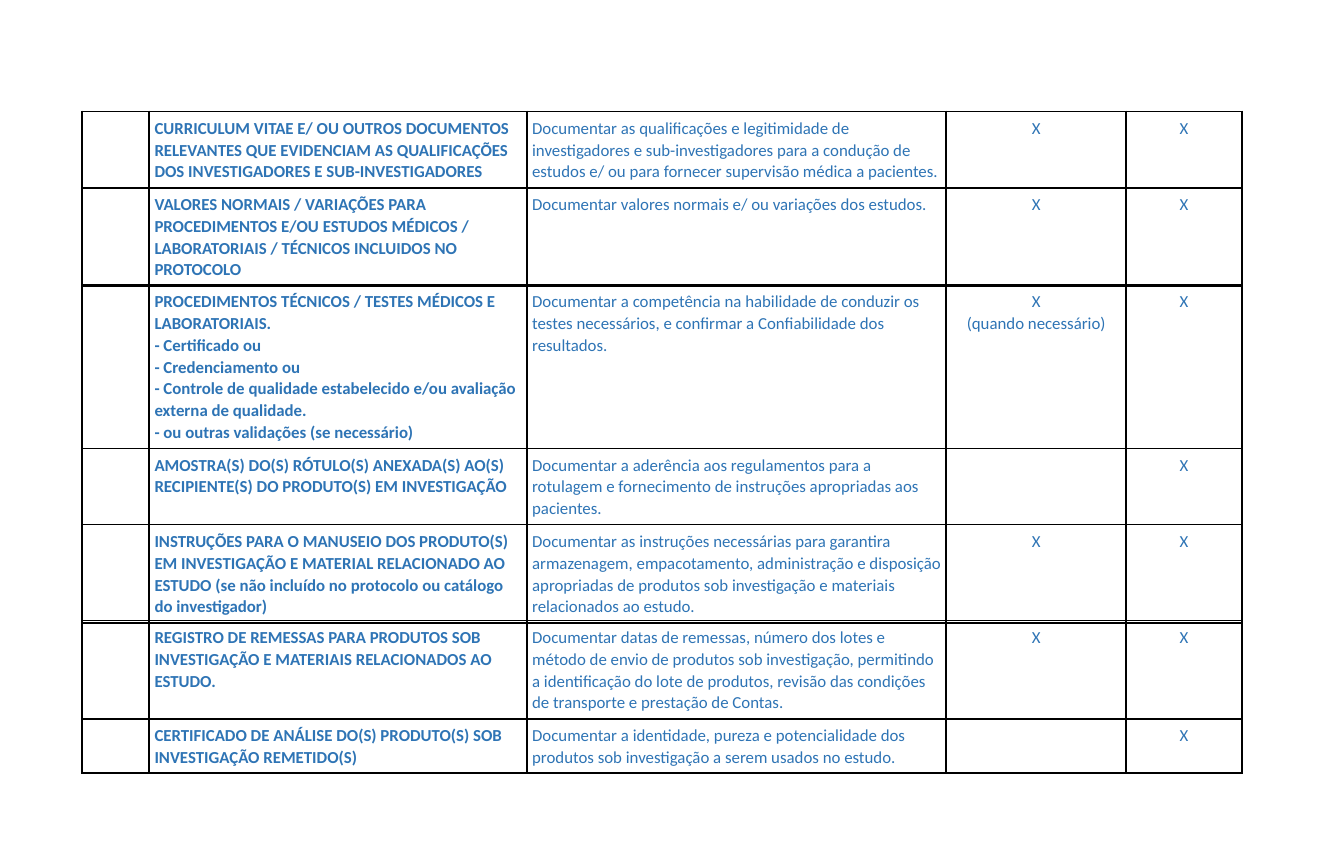
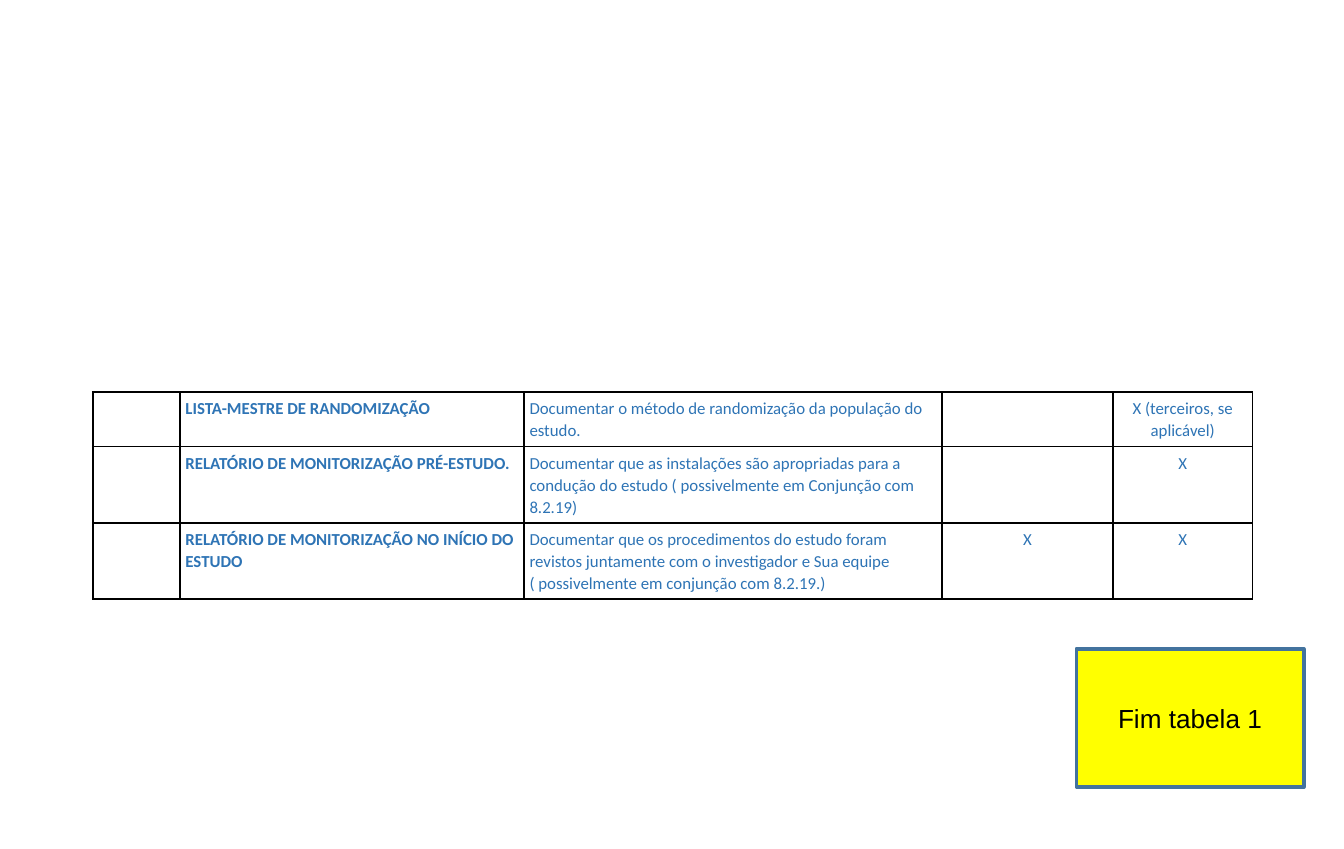
"""Build two slides listing the essential documents of a clinical study."""
from lxml import etree
from pptx import Presentation
from pptx.dml.color import RGBColor
from pptx.enum.shapes import MSO_SHAPE
from pptx.enum.text import MSO_ANCHOR, PP_ALIGN
from pptx.oxml.ns import qn
from pptx.util import Inches, Pt

RECTANGLE = MSO_SHAPE.RECTANGLE
MIDDLE = MSO_ANCHOR.MIDDLE
LEFT, CENTER = PP_ALIGN.LEFT, PP_ALIGN.CENTER

TABLE_BLUE = RGBColor(0x2E, 0x74, 0xB5)
BOX_YELLOW = RGBColor(0xFF, 0xFF, 0x00)
BOX_BORDER = RGBColor(0x43, 0x73, 0x9E)
BLACK = RGBColor(0x00, 0x00, 0x00)

BLANK_LAYOUT = 6
DOCUMENT_COLUMN = 1
FIRST_MARK_COLUMN = 3

QUALIFICATION_ROWS = [
    (0.56, "CURRICULUM VITAE E/ OU OUTROS DOCUMENTOS RELEVANTES QUE EVIDENCIAM "
     "AS QUALIFICAÇÕES DOS INVESTIGADORES E SUB-INVESTIGADORES",
     "Documentar as qualificações e legitimidade de investigadores e "
     "sub-investigadores para a condução de estudos e/ ou para fornecer "
     "supervisão médica a pacientes.", "X", "X"),
    (0.72, "VALORES NORMAIS / VARIAÇÕES PARA PROCEDIMENTOS E/OU ESTUDOS MÉDICOS / "
     "LABORATORIAIS / TÉCNICOS INCLUIDOS NO PROTOCOLO",
     "Documentar valores normais e/ ou variações dos estudos.", "X", "X"),
]
PROCEDURE_ROWS = [
    (1.21, "PROCEDIMENTOS TÉCNICOS / TESTES MÉDICOS E LABORATORIAIS.\n"
     "- Certificado ou\n"
     "- Credenciamento ou\n"
     "- Controle de qualidade estabelecido e/ou avaliação externa de qualidade.\n"
     "- ou outras validações (se necessário)",
     "Documentar a competência na habilidade de conduzir os testes "
     "necessários, e confirmar a Confiabilidade dos resultados.",
     "X\n(quando necessário)", "X"),
    (0.56, "AMOSTRA(S) DO(S) RÓTULO(S) ANEXADA(S) AO(S) RECIPIENTE(S) DO "
     "PRODUTO(S) EM INVESTIGAÇÃO",
     "Documentar a aderência aos regulamentos para a rotulagem e "
     "fornecimento de instruções apropriadas aos pacientes.", "", "X"),
    (0.72, "INSTRUÇÕES PARA O MANUSEIO DOS PRODUTO(S) EM INVESTIGAÇÃO E MATERIAL "
     "RELACIONADO AO ESTUDO (se não incluído no protocolo ou catálogo do "
     "investigador)",
     "Documentar as instruções necessárias para garantira armazenagem, "
     "empacotamento, administração e disposição apropriadas de produtos sob "
     "investigação e materiais relacionados ao estudo.", "X", "X"),
]
SHIPMENT_ROWS = [
    (0.72, "REGISTRO DE REMESSAS PARA PRODUTOS SOB INVESTIGAÇÃO E MATERIAIS "
     "RELACIONADOS AO ESTUDO.",
     "Documentar datas de remessas, número dos lotes e método de envio de "
     "produtos sob investigação, permitindo a identificação do lote de "
     "produtos, revisão das condições de transporte e prestação de Contas.",
     "X", "X"),
    (0.4, "CERTIFICADO DE ANÁLISE DO(S) PRODUTO(S) SOB INVESTIGAÇÃO REMETIDO(S)",
     "Documentar a identidade, pureza e potencialidade dos produtos sob "
     "investigação a serem usados no estudo.", "", "X"),
]
MONITORING_ROWS = [
    (0.4, "LISTA-MESTRE DE RANDOMIZAÇÃO",
     "Documentar o método de randomização da população do estudo.",
     "", "X (terceiros, se aplicável)"),
    (0.56, "RELATÓRIO DE MONITORIZAÇÃO PRÉ-ESTUDO.",
     "Documentar que as instalações são apropriadas para a condução do "
     "estudo ( possivelmente em Conjunção com 8.2.19)", "", "X"),
    (0.56, "RELATÓRIO DE MONITORIZAÇÃO NO INÍCIO DO ESTUDO",
     "Documentar que os procedimentos do estudo foram revistos juntamente "
     "com o investigador e Sua equipe ( possivelmente em conjunção com "
     "8.2.19.)", "X", "X"),
]


class SlideBuilder:
    """Hold the shared style and draw on the current slide."""

    table_font, table_size = "Calibri", Pt(9)
    box_font, box_size = "Arial", Pt(14)
    cell_margin = Inches(0.04)
    line_spacing = 1.07

    def __init__(self):
        self.presentation = Presentation()
        self.presentation.slide_width = Inches(10)
        self.presentation.slide_height = Inches(6.32)
        self.slide = None

    def new_slide(self):
        layout = self.presentation.slide_layouts[BLANK_LAYOUT]
        self.slide = self.presentation.slides.add_slide(layout)

    def add_document_table(self, left, top, column_widths, rows):
        width = sum(column_widths)
        height = sum(row[0] for row in rows)
        frame = self.slide.shapes.add_table(
            len(rows), len(column_widths),
            Inches(left), Inches(top), Inches(width), Inches(height))
        table = frame.table
        table.first_row = False
        table.horz_banding = False
        for column, column_width in zip(table.columns, column_widths):
            column.width = Inches(column_width)
        for row, (row_height, *texts) in zip(table.rows, rows):
            row.height = Inches(row_height)
            for column_index, text in enumerate(["", *texts]):
                self.format_cell(row.cells[column_index], column_index, text)

    def format_cell(self, cell, column_index, text):
        self.add_borders(cell)
        cell.fill.background()
        cell.margin_left = cell.margin_right = self.cell_margin
        cell.margin_top = cell.margin_bottom = self.cell_margin
        cell.text = text
        for paragraph in cell.text_frame.paragraphs:
            is_mark = column_index >= FIRST_MARK_COLUMN
            paragraph.alignment = CENTER if is_mark else LEFT
            paragraph.line_spacing = self.line_spacing
            self.set_font(paragraph.font, self.table_font, self.table_size, TABLE_BLUE)
            paragraph.font.bold = column_index == DOCUMENT_COLUMN

    def add_borders(self, cell):
        properties = cell._tc.get_or_add_tcPr()
        for side in ("a:lnL", "a:lnR", "a:lnT", "a:lnB"):
            line = etree.SubElement(properties, qn(side), w=str(Pt(1)))
            fill = etree.SubElement(line, qn("a:solidFill"))
            etree.SubElement(fill, qn("a:srgbClr"), val=str(BLACK))

    def add_box(self, left, top, width, height, text):
        shape = self.slide.shapes.add_shape(
            RECTANGLE, Inches(left), Inches(top), Inches(width), Inches(height))
        shape.shadow.inherit = False
        shape.fill.solid()
        shape.fill.fore_color.rgb = BOX_YELLOW
        shape.line.color.rgb = BOX_BORDER
        shape.line.width = Pt(2)
        shape.text_frame.vertical_anchor = MIDDLE
        shape.text_frame.text = text
        paragraph = shape.text_frame.paragraphs[0]
        paragraph.alignment = CENTER
        self.set_font(paragraph.font, self.box_font, self.box_size, BLACK)

    def set_font(self, font, name, size, color):
        font.name = name
        font.size = size
        font.color.rgb = color


def main():
    builder = SlideBuilder()

    builder.new_slide()
    column_widths = [0.5, 2.81, 3.12, 1.34, 0.86]
    for top, rows in [(0.83, QUALIFICATION_ROWS),
                      (2.12, PROCEDURE_ROWS),
                      (4.62, SHIPMENT_ROWS)]:
        builder.add_document_table(0.61, top, column_widths, rows)

    builder.new_slide()
    builder.add_document_table(
        0.69, 2.92, [0.65, 2.56, 3.11, 1.27, 1.04], MONITORING_ROWS)
    builder.add_box(8.01, 4.83, 1.69, 1.03, "Fim tabela 1")

    builder.presentation.save("out.pptx")


if __name__ == "__main__":
    main()
